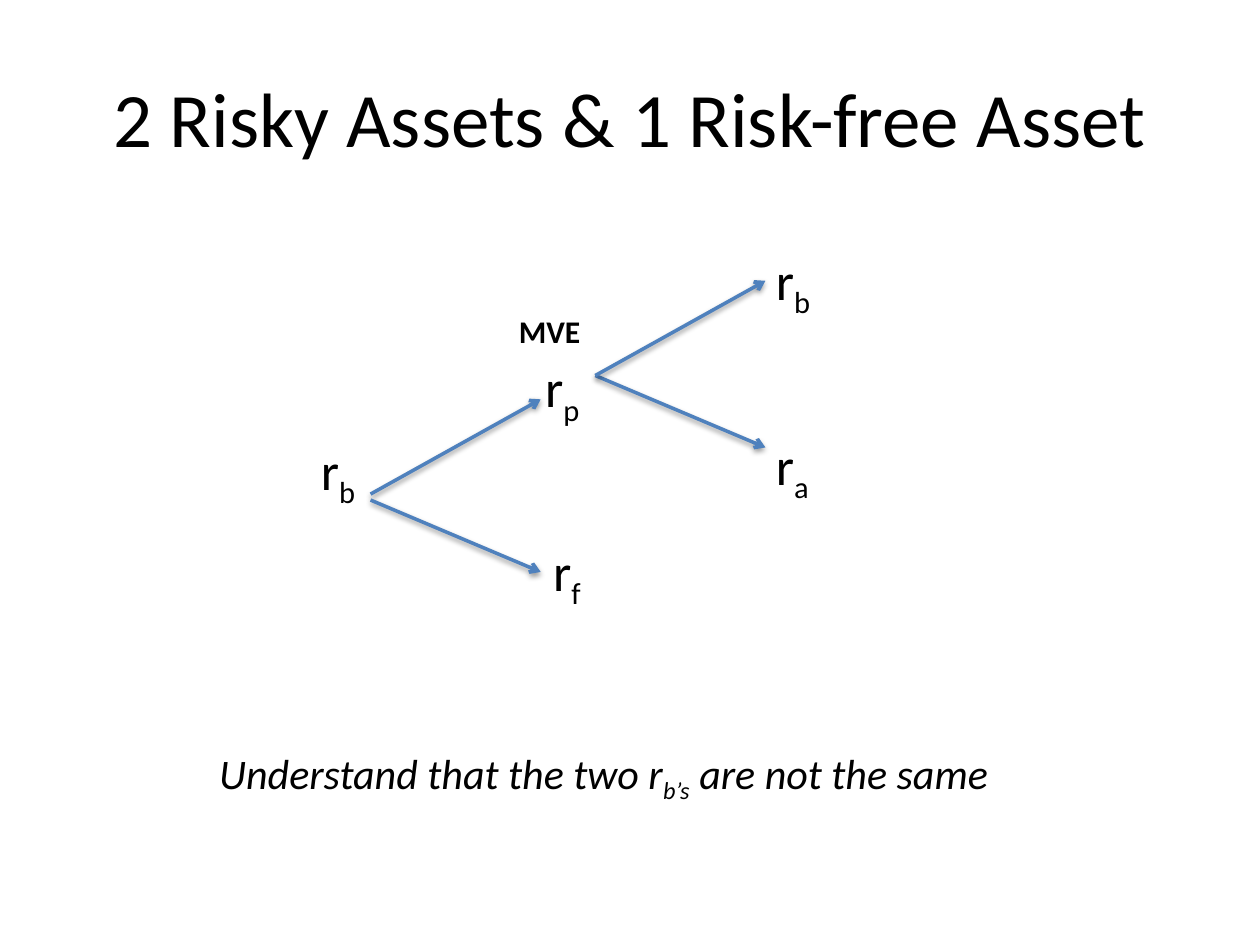
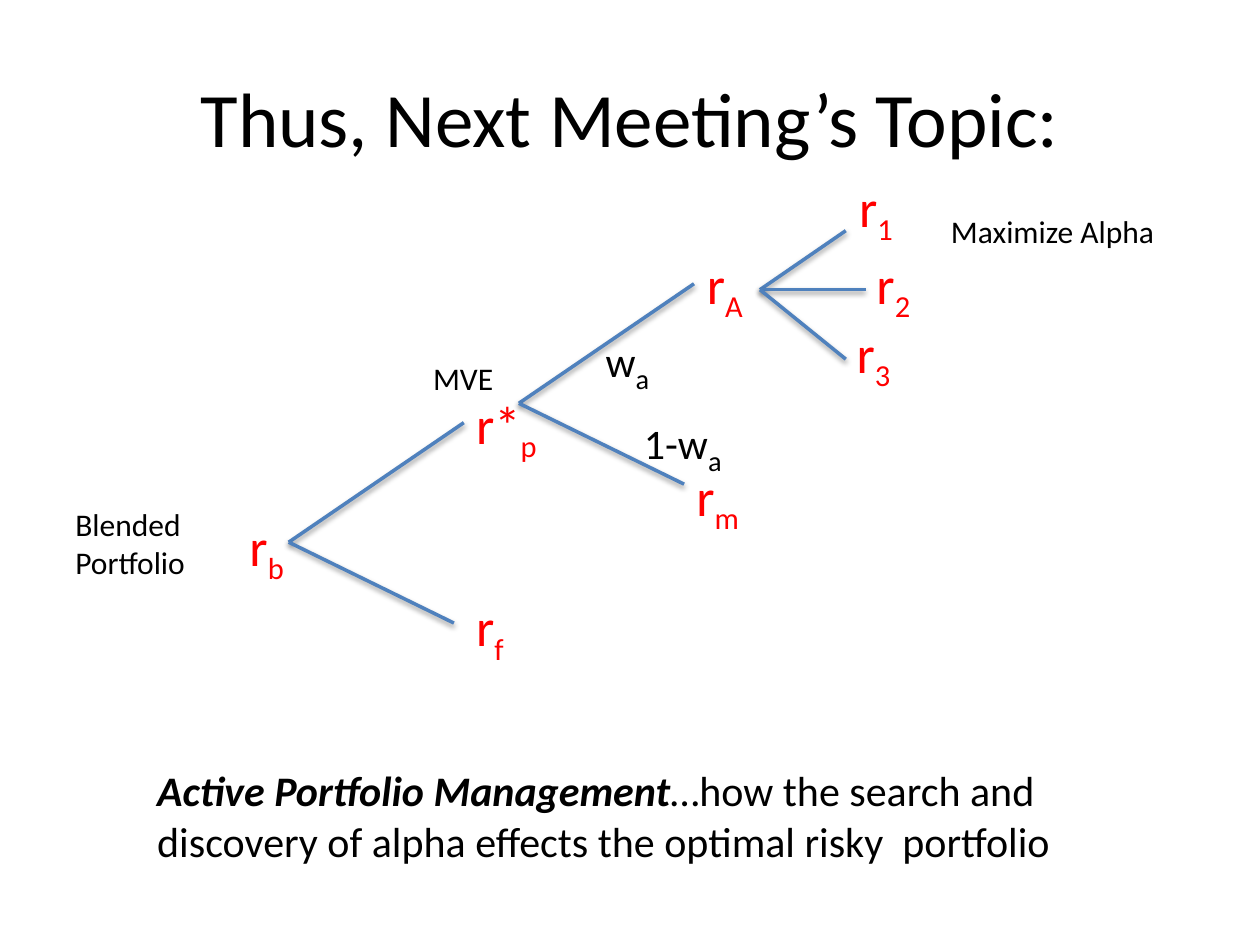
from dataclasses import dataclass

from lxml import etree
from pptx import Presentation
from pptx.dml.color import RGBColor
from pptx.enum.shapes import MSO_CONNECTOR
from pptx.enum.text import MSO_ANCHOR, MSO_AUTO_SIZE, PP_ALIGN
from pptx.oxml import parse_xml
from pptx.oxml.ns import nsdecls, qn
from pptx.util import Cm, Pt


@dataclass(frozen=True)
class Theme:
    font: str = "Calibri"
    ink: RGBColor = RGBColor(0, 0, 0)
    accent: RGBColor = RGBColor(0xFF, 0, 0)
    branch: RGBColor = RGBColor(0x4F, 0x81, 0xBD)
    title: int = 44
    asset: int = 30
    subscript: int = 28
    body: int = 24
    label: int = 18
    line: int = 2


SHADOW = (
    f'<a:effectLst {nsdecls("a")}>'
    '<a:outerShdw blurRad="40000" dist="20000" dir="5400000" rotWithShape="0">'
    '<a:srgbClr val="000000"><a:alpha val="38000"/></a:srgbClr>'
    '</a:outerShdw></a:effectLst>'
)


class Deck:
    def __init__(self, theme):
        self.theme = theme
        self.prs = Presentation()
        self.prs.slide_width, self.prs.slide_height = Cm(25.4), Cm(19.05)
        self.s = None

    def slide(self, title):
        self.s = self.prs.slides.add_slide(self.prs.slide_layouts[5])
        sp = self.s.shapes.title
        sp.left, sp.top, sp.width, sp.height = Cm(1.27), Cm(0.76), Cm(22.86), Cm(3.18)
        tf = sp.text_frame
        tf.vertical_anchor = MSO_ANCHOR.MIDDLE
        p = tf.paragraphs[0]
        p.alignment = PP_ALIGN.CENTER
        self.run(p, title, self.theme.title)

    def run(self, p, text, size, color=None, style=""):
        """Add a run; style may hold b (bold), i (italic) and _ (subscript)."""
        r = p.add_run()
        r.text = text
        r.font.name = self.theme.font
        r.font.size = Pt(size)
        r.font.color.rgb = color or self.theme.ink
        r.font.bold = "b" in style
        r.font.italic = "i" in style
        if "_" in style:
            r.font._element.set("baseline", "-25000")

    def text_box(self, x, y, w, size, lines=1, wrap=False):
        """Add an empty box as high as its lines and return its text frame."""
        height = lines * size * 1.2 / 72 * 2.54 + 0.25
        sp = self.s.shapes.add_textbox(Cm(x), Cm(y), Cm(w), Cm(height))
        tf = sp.text_frame
        tf.word_wrap = wrap
        tf.auto_size = MSO_AUTO_SIZE.SHAPE_TO_FIT_TEXT
        return tf

    def label(self, x, y, w, *lines, style=""):
        size = self.theme.label
        tf = self.text_box(x, y, w, size, len(lines))
        for i, line in enumerate(lines):
            p = tf.add_paragraph() if i else tf.paragraphs[0]
            self.run(p, line, size, style=style)

    def symbol(self, x, y, w, name, index, size, index_size, color=None):
        p = self.text_box(x, y, w, size).paragraphs[0]
        self.run(p, name, size, color)
        self.run(p, index, index_size, color, "_")

    def assets(self, items, color=None):
        size = self.theme.asset
        for x, y, w, name, index in items:
            self.symbol(x, y, w, name, index, size, size, color)

    def weight(self, x, y, w, name):
        self.symbol(x, y, w, name, "a", self.theme.body, self.theme.subscript)

    def sentence(self, x, y, w, runs, lines=1, wrap=False):
        p = self.text_box(x, y, w, self.theme.body, lines, wrap).paragraphs[0]
        for text, style in runs:
            self.run(p, text, self.theme.body, style=style)

    def fork(self, x, y, branches, arrow=False):
        """Draw a line from (x, y) along each (dx, dy) branch."""
        for dx, dy in branches:
            c = self.s.shapes.add_connector(
                MSO_CONNECTOR.STRAIGHT, Cm(x), Cm(y), Cm(x + dx), Cm(y + dy))
            c.line.color.rgb = self.theme.branch
            c.line.width = Pt(self.theme.line)
            if arrow:
                etree.SubElement(c.line._get_or_add_ln(), qn("a:tailEnd"), type="arrow")
            c._element.spPr.append(parse_xml(SHADOW))


def risk_free_slide(deck):
    deck.slide("2 Risky Assets & 1 Risk-free Asset")
    up, down = (3.43, -1.91), (3.43, 1.45)
    deck.fork(12, 7.57, [down, up], arrow=True)
    deck.fork(7.47, 9.96, [up], arrow=True)
    deck.fork(7.47, 10.08, [down], arrow=True)
    deck.assets([
        (6.22, 8.71, 1.27, "r", "b"),
        (10.9, 10.74, 1.12, "r", "f"),
        (15.39, 8.61, 1.22, "r", "a"),
        (10.74, 7.04, 1.27, "r", "p"),
        (15.39, 4.88, 1.27, "r", "b"),
    ])
    deck.sentence(4.17, 14.94, 16.74, [
        ("Understand that the two r", "i"),
        ("b’s", "i_"),
        (" are not the same", "i"),
    ])
    deck.label(10.21, 6.17, 1.78, "MVE", style="b")


def next_topic_slide(deck):
    deck.slide("Thus, Next Meeting’s Topic:")
    pair = [(3.53, -2.41), (3.33, 1.63)]
    deck.fork(5.82, 10.93, pair)
    deck.fork(10.46, 8.13, pair)
    deck.fork(15.32, 5.84, [(1.73, -1.19), (2.13, 0), (1.73, 1.4)])
    deck.assets([
        (4.78, 10.24, 1.27, "r", "b"),
        (9.35, 7.77, 1.8, "r*", "p"),
        (9.35, 11.86, 1.12, "r", "f"),
        (13.79, 9.22, 1.45, "r", "m"),
        (14, 4.95, 1.3, "r", "A"),
        (17.02, 6.35, 1.24, "r", "3"),
        (17.42, 4.95, 1.24, "r", "2"),
        (17.07, 3.4, 1.24, "r", "1"),
    ], deck.theme.accent)
    deck.label(8.48, 7.11, 1.73, "MVE")
    deck.label(18.92, 4.14, 4.67, "Maximize Alpha")
    deck.weight(11.96, 6.5, 1.45, "w")
    deck.weight(12.73, 8.15, 2.13, "1-w")
    deck.label(1.27, 10.06, 2.77, "Blended", "Portfolio")
    deck.sentence(2.92, 15.29, 19.61, [
        ("Active Portfolio Management", "bi"),
        ("…how the search and discovery of alpha effects the optimal risky  portfolio", ""),
    ], lines=2, wrap=True)


def main():
    deck = Deck(Theme())
    risk_free_slide(deck)
    next_topic_slide(deck)
    deck.prs.save("out.pptx")


if __name__ == "__main__":
    main()
